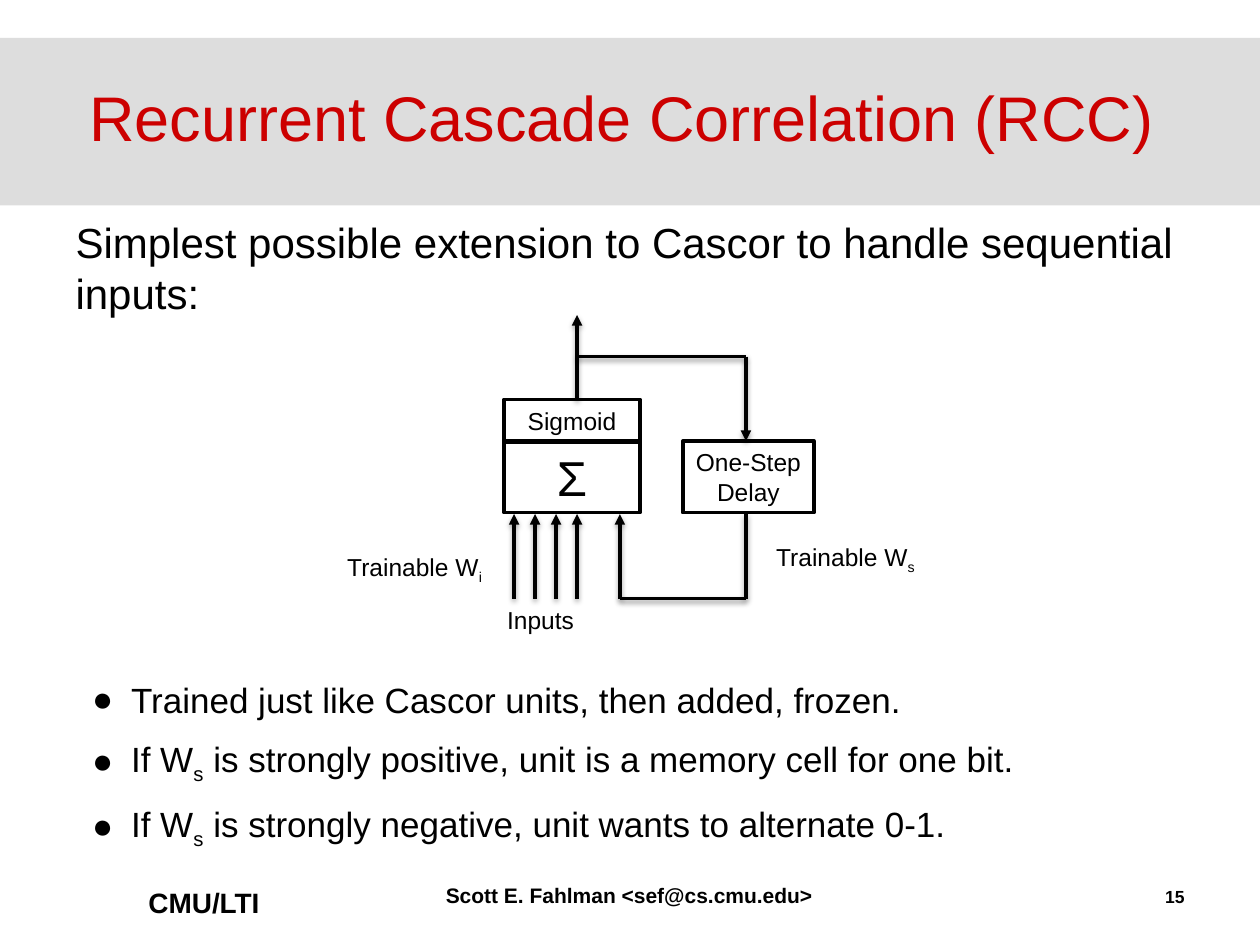
from dataclasses import dataclass

from lxml import etree
from pptx import Presentation
from pptx.dml.color import RGBColor
from pptx.enum import shapes, text
from pptx.oxml import ns
from pptx.util import Inches, Pt


@dataclass(frozen=True)
class Theme:
    font: str = "Arial"
    ink: RGBColor = RGBColor(0x00, 0x00, 0x00)
    accent: RGBColor = RGBColor(0xCC, 0x00, 0x00)
    band: RGBColor = RGBColor(0xDD, 0xDD, 0xDD)
    title: int = 36
    intro: int = 24
    bullet: int = 20
    symbol: int = 28
    label: int = 14
    line: int = 2


THEME = Theme()
LEFT, CENTER, RIGHT = text.PP_ALIGN.LEFT, text.PP_ALIGN.CENTER, text.PP_ALIGN.RIGHT
TOP, MIDDLE, BOTTOM = (text.MSO_ANCHOR.TOP, text.MSO_ANCHOR.MIDDLE,
                       text.MSO_ANCHOR.BOTTOM)


def add_child(parent, tag, **attributes):
    child = etree.SubElement(parent, ns.qn(tag))
    for name, value in attributes.items():
        child.set(name, str(value))
    return child


def place(shape, left, top, width, height):
    shape.left, shape.top = Inches(left), Inches(top)
    shape.width, shape.height = Inches(width), Inches(height)


def add_runs(paragraph, parts, size, color=THEME.ink, bold=False):
    """Add runs; every second part is a subscript."""
    for index, part in enumerate(parts):
        run = paragraph.add_run()
        run.text = part
        font = run.font
        font.name, font.size, font.bold = THEME.font, Pt(size), bold
        font.color.rgb = color
        if index % 2:
            run._r.get_or_add_rPr().set("baseline", "-25000")


def set_frame(shape, anchor, wrap=True):
    frame = shape.text_frame
    frame.word_wrap = wrap
    frame.auto_size = text.MSO_AUTO_SIZE.NONE
    frame.vertical_anchor = anchor
    return frame


def add_band(slide):
    band = slide.shapes.add_shape(shapes.MSO_SHAPE.RECTANGLE, 0, Inches(0.3),
                                  Inches(10), Inches(1.33))
    band.shadow.inherit = False
    band.fill.solid()
    band.fill.fore_color.rgb = THEME.band
    band.line.fill.background()
    slide.shapes._spTree.insert(2, band._element)  # behind the title


def fill_title(slide, wording):
    title = slide.shapes.title
    place(title, 0.61, 0.3, 8.89, 1.25)
    paragraph = set_frame(title, MIDDLE).paragraphs[0]
    paragraph.alignment = LEFT
    add_runs(paragraph, [wording], THEME.title, THEME.accent)


def set_indent(paragraph, margin, indent, bullet=None):
    properties = paragraph._p.get_or_add_pPr()
    properties.set("marL", str(Inches(margin)))
    properties.set("indent", str(Inches(indent)))
    if bullet:
        add_child(properties, "a:buFont", typeface=THEME.font)
        add_child(properties, "a:buChar", char=bullet)
    else:
        add_child(properties, "a:buNone")


def fill_body(slide, intro, bullets, diagram_gap):
    body = slide.placeholders[1]
    place(body, 0.5, 1.67, 9, 5.08)
    frame = set_frame(body, TOP)
    paragraph = frame.paragraphs[0]
    paragraph.space_before = Pt(10)
    set_indent(paragraph, 0, 0)
    add_runs(paragraph, [intro], THEME.intro)
    for index, parts in enumerate(bullets):
        paragraph = frame.add_paragraph()
        paragraph.level = 1
        paragraph.space_before = Pt(10 if index else diagram_gap)
        set_indent(paragraph, 0.44, -0.31, "●")
        add_runs(paragraph, parts, THEME.bullet)


def add_label(slide, box, parts, size=THEME.label, align=CENTER, anchor=TOP,
              bold=False):
    label = slide.shapes.add_textbox(*map(Inches, box))
    paragraph = set_frame(label, anchor).paragraphs[0]
    paragraph.alignment = align
    add_runs(paragraph, parts, size, bold=bold)


def add_unit(slide, box, lines, size=THEME.label):
    unit = slide.shapes.add_shape(shapes.MSO_SHAPE.RECTANGLE, *map(Inches, box))
    unit.shadow.inherit = False
    unit.fill.background()
    unit.line.color.rgb = THEME.ink
    unit.line.width = Pt(THEME.line)
    paragraph = set_frame(unit, MIDDLE, wrap=False).paragraphs[0]
    paragraph.alignment = CENTER
    for index, line in enumerate(lines):
        if index:
            paragraph.add_line_break()
        add_runs(paragraph, [line], size)


def add_wire(slide, start, end, arrow=False):
    wire = slide.shapes.add_connector(shapes.MSO_CONNECTOR.STRAIGHT,
                                      *map(Inches, (*start, *end)))
    wire.line.color.rgb = THEME.ink
    wire.line.width = Pt(THEME.line)
    if arrow:
        add_child(wire.line._get_or_add_ln(), "a:tailEnd", type="triangle")
    effects = add_child(wire._element.spPr, "a:effectLst")
    shadow = add_child(effects, "a:outerShdw", blurRad=Pt(3.1), dist=Pt(1.6),
                       dir=90 * 60000, rotWithShape=0)
    color = add_child(shadow, "a:srgbClr", val=THEME.ink)
    add_child(color, "a:alpha", val=38000)


def add_diagram(slide):
    output_x, loop_x, feedback_x = 4.58, 5.92, 4.92
    output_y, branch_y, sigmoid_y = 2.5, 2.83, 3.17
    unit_y, unit_bottom, input_y = 3.5, 4.08, 4.75

    # Units
    add_unit(slide, (5.42, unit_y, 1.04, 0.57), ["One-Step", "Delay"])
    add_unit(slide, (4, unit_y, 1.08, 0.57), ["Σ"], THEME.symbol)
    add_unit(slide, (4, sigmoid_y, 1.08, 0.34), ["Sigmoid"])

    # Inputs and output
    for index in range(4):
        x = 4.08 + index / 6
        add_wire(slide, (x, input_y), (x, unit_bottom), arrow=True)
    add_wire(slide, (output_x, sigmoid_y), (output_x, output_y), arrow=True)

    # Feedback loop through the delay
    add_wire(slide, (output_x, branch_y), (loop_x, branch_y))
    add_wire(slide, (loop_x, branch_y), (loop_x, unit_y), arrow=True)
    add_wire(slide, (loop_x, unit_bottom), (loop_x, input_y))
    add_wire(slide, (feedback_x, input_y), (loop_x, input_y))
    add_wire(slide, (feedback_x, input_y), (feedback_x, unit_bottom), arrow=True)

    # Labels
    add_label(slide, (3.75, input_y, 1.08, 0.34), ["Inputs"])
    add_label(slide, (2.58, 4.33, 1.42, 0.34), ["Trainable W", "i"])
    add_label(slide, (6, 4.25, 1.42, 0.34), ["Trainable W", "s"])


def add_footer(slide):
    footers = [
        ((1.08, 6.92, 1.38, 0.42), "CMU/LTI", 16, LEFT),
        ((2.83, 7, 4.33, 0.25), "Scott E. Fahlman <sef@cs.cmu.edu>", 12, CENTER),
        ((7.17, 7, 2.33, 0.25), "15", 10, RIGHT),
    ]
    for box, wording, size, align in footers:
        add_label(slide, box, [wording], size, align, BOTTOM, bold=True)


def main():
    presentation = Presentation()
    presentation.slide_width, presentation.slide_height = Inches(10), Inches(7.5)
    slide = presentation.slides.add_slide(presentation.slide_layouts[1])

    add_band(slide)
    fill_title(slide, "Recurrent Cascade Correlation (RCC)")
    fill_body(
        slide,
        "Simplest possible extension to Cascor to handle sequential inputs:",
        [
            ["Trained just like Cascor units, then added, frozen."],
            ["If W", "s", " is strongly positive, unit is a memory cell for one bit."],
            ["If W", "s", " is strongly negative, unit wants to alternate 0-1."],
        ],
        diagram_gap=206,
    )
    add_diagram(slide)
    add_footer(slide)
    presentation.save("out.pptx")


if __name__ == "__main__":
    main()
